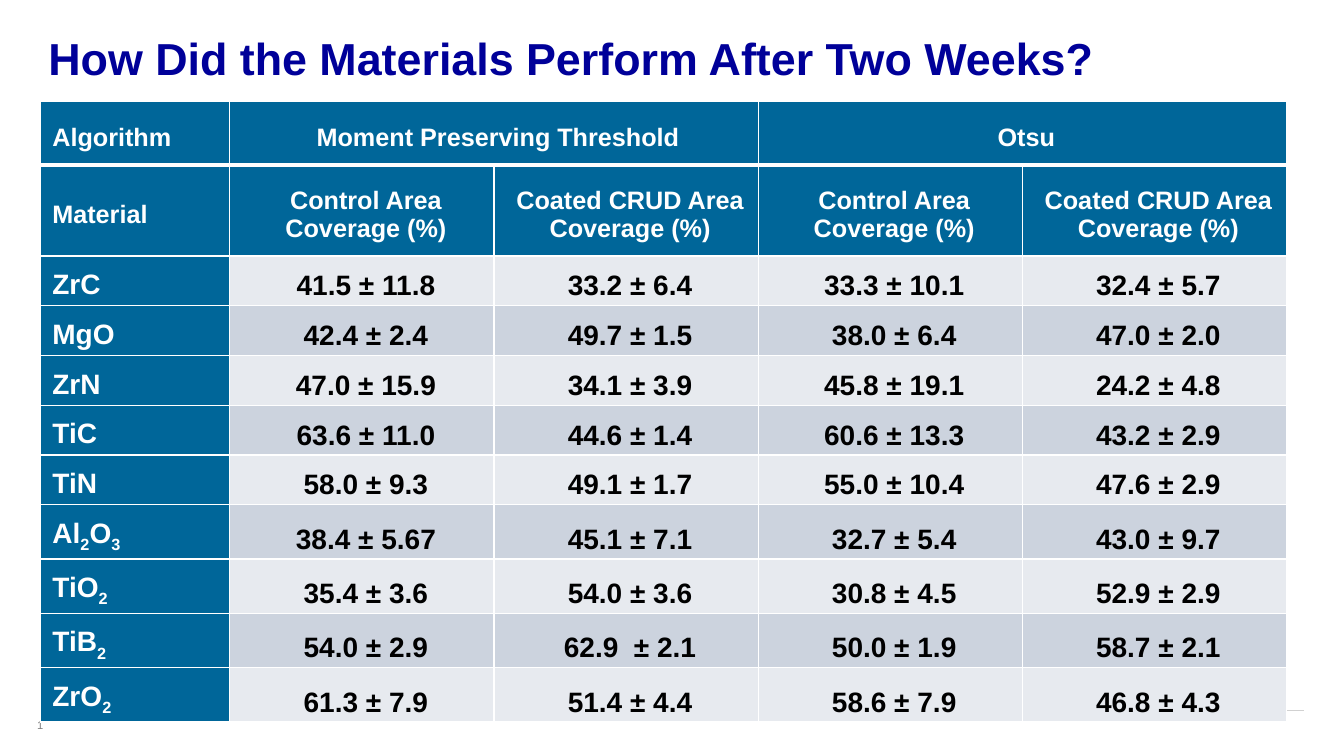
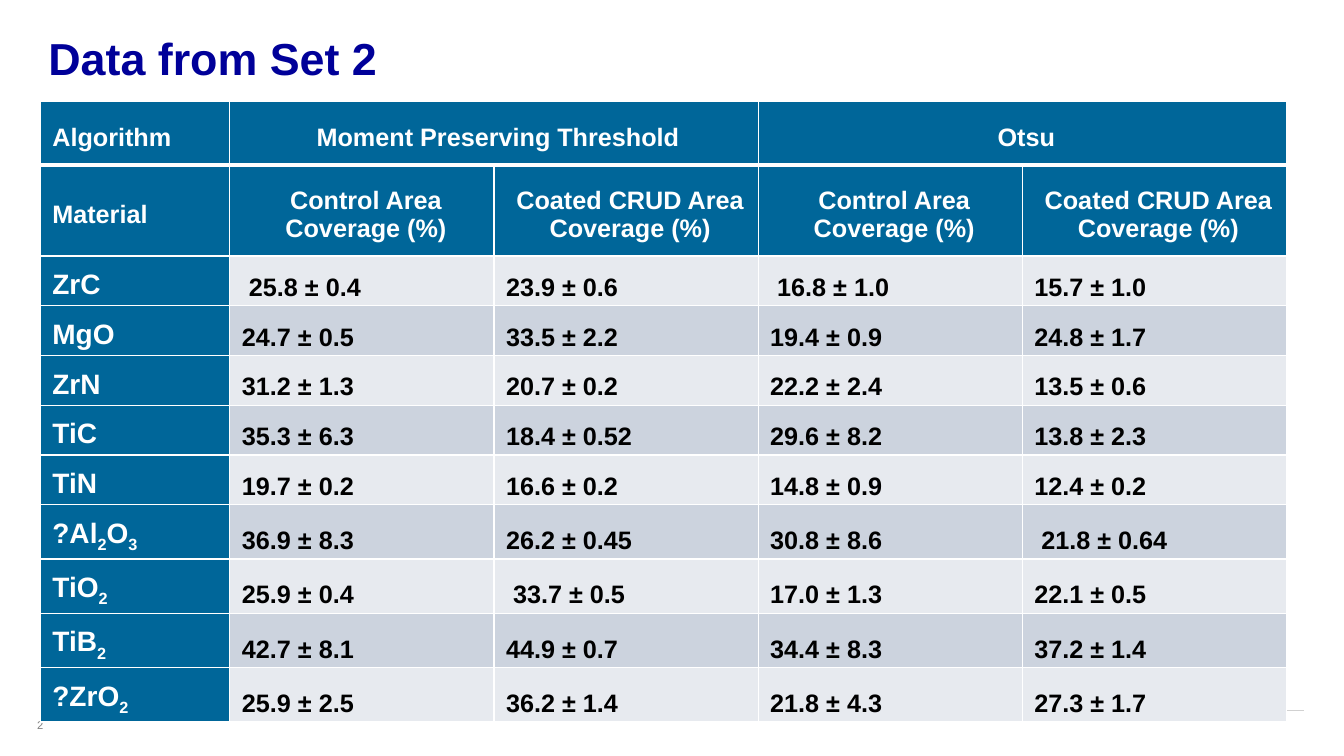
"""Build two slides of coating coverage tables, one for each data set."""
from dataclasses import dataclass
from itertools import groupby

from lxml import etree
from pptx import Presentation
from pptx.dml.color import RGBColor
from pptx.enum.shapes import MSO_CONNECTOR
from pptx.enum.text import MSO_ANCHOR, PP_ALIGN
from pptx.oxml.ns import qn
from pptx.slide import Slide
from pptx.table import Table, _Cell
from pptx.text.text import _Paragraph
from pptx.util import Inches, Pt

LEFT, CENTER = PP_ALIGN.LEFT, PP_ALIGN.CENTER
TOP, MIDDLE, BOTTOM = MSO_ANCHOR.TOP, MSO_ANCHOR.MIDDLE, MSO_ANCHOR.BOTTOM
STRAIGHT = MSO_CONNECTOR.STRAIGHT


@dataclass(frozen=True)
class Theme:
    font: str = "Arial"
    title_color: str = "000099"
    header_fill: str = "006699"
    band_fills: tuple[str, str] = ("E7EAEF", "CCD3DE")
    white: str = "FFFFFF"
    black: str = "000000"
    footer_color: str = "7F7F7F"
    rule_color: str = "D1D1D1"
    title_size: int = 32
    header_size: int = 18
    material_size: int = 20
    footer_size: int = 8
    border_width: float = 1
    header_border_width: float = 3


@dataclass(frozen=True)
class TextStyle:
    size: int
    color: str
    bold: bool = True
    align: PP_ALIGN = LEFT
    anchor: MSO_ANCHOR = MIDDLE


@dataclass(frozen=True)
class Box:
    left: float
    top: float
    width: float
    height: float


@dataclass(frozen=True)
class MaterialRow:
    material: str
    values: tuple[str, str, str, str]


@dataclass(frozen=True)
class CoverageSlide:
    title: str
    value_style: TextStyle
    rows: tuple[MaterialRow, ...]


THEME = Theme()
TITLE_BOX = Box(0.4, 0.2, 12.5, 0.8)
NUMBER_BOX = Box(0.27, 7.08, 0.89, 0.24)
TABLE_BOX = Box(0.4, 1.01, 12.38, 5.94)
RULE_LEFT, RULE_RIGHT, RULE_TOP = 0.4, 12.93, 7.05
COLUMN_WIDTHS = (1.88,) + (2.62,) * 4
HEADER_HEIGHTS = (0.63, 0.9)
BODY_HEIGHT = 0.49
ALGORITHMS = ("Moment Preserving Threshold", "Otsu")
MEASURES = ("Control Area Coverage (%)", "Coated CRUD Area Coverage (%)")

TITLE_STYLE = TextStyle(THEME.title_size, THEME.title_color, anchor=TOP)
NUMBER_STYLE = TextStyle(THEME.footer_size, THEME.footer_color, bold=False, anchor=TOP)
LABEL_STYLE = TextStyle(THEME.header_size, THEME.white)
HEADER_STYLE = TextStyle(THEME.header_size, THEME.white, align=CENTER)
MATERIAL_STYLE = TextStyle(THEME.material_size, THEME.white)

COVERAGE_SLIDES = (
    CoverageSlide(
        "How Did the Materials Perform After Two Weeks?",
        TextStyle(THEME.material_size, THEME.black, align=CENTER, anchor=BOTTOM),
        (
            MaterialRow("ZrC", ("41.5 ± 11.8", "33.2 ± 6.4", "33.3 ± 10.1", "32.4 ± 5.7")),
            MaterialRow("MgO", ("42.4 ± 2.4", "49.7 ± 1.5", "38.0 ± 6.4", "47.0 ± 2.0")),
            MaterialRow("ZrN", ("47.0 ± 15.9", "34.1 ± 3.9", "45.8 ± 19.1", "24.2 ± 4.8")),
            MaterialRow("TiC", ("63.6 ± 11.0", "44.6 ± 1.4", "60.6 ± 13.3", "43.2 ± 2.9")),
            MaterialRow("TiN", ("58.0 ± 9.3", "49.1 ± 1.7", "55.0 ± 10.4", "47.6 ± 2.9")),
            MaterialRow("Al2O3", ("38.4 ± 5.67", "45.1 ± 7.1", "32.7 ± 5.4", "43.0 ± 9.7")),
            MaterialRow("TiO2", ("35.4 ± 3.6", "54.0 ± 3.6", "30.8 ± 4.5", "52.9 ± 2.9")),
            MaterialRow("TiB2", ("54.0 ± 2.9", "62.9  ± 2.1", "50.0 ± 1.9", "58.7 ± 2.1")),
            MaterialRow("ZrO2", ("61.3 ± 7.9", "51.4 ± 4.4", "58.6 ± 7.9", "46.8 ± 4.3")),
        ),
    ),
    CoverageSlide(
        "Data from Set 2",
        TextStyle(THEME.header_size, THEME.black, anchor=BOTTOM),
        (
            MaterialRow("ZrC", (" 25.8 ± 0.4", "23.9 ± 0.6", " 16.8 ± 1.0", "15.7 ± 1.0")),
            MaterialRow("MgO", ("24.7 ± 0.5", "33.5 ± 2.2", "19.4 ± 0.9", "24.8 ± 1.7")),
            MaterialRow("ZrN", ("31.2 ± 1.3", "20.7 ± 0.2", "22.2 ± 2.4", "13.5 ± 0.6")),
            MaterialRow("TiC", ("35.3 ± 6.3", "18.4 ± 0.52", "29.6 ± 8.2", "13.8 ± 2.3")),
            MaterialRow("TiN", ("19.7 ± 0.2", "16.6 ± 0.2", "14.8 ± 0.9", "12.4 ± 0.2")),
            MaterialRow("?Al2O3", ("36.9 ± 8.3", "26.2 ± 0.45", "30.8 ± 8.6", " 21.8 ± 0.64")),
            MaterialRow("TiO2", ("25.9 ± 0.4", " 33.7 ± 0.5", "17.0 ± 1.3", "22.1 ± 0.5")),
            MaterialRow("TiB2", ("42.7 ± 8.1", "44.9 ± 0.7", "34.4 ± 8.3", "37.2 ± 1.4")),
            MaterialRow("?ZrO2", ("25.9 ± 2.5", "36.2 ± 1.4", "21.8 ± 4.3", "27.3 ± 1.7")),
        ),
    ),
)


def format_paragraph(paragraph: _Paragraph, style: TextStyle) -> None:
    paragraph.alignment = style.align
    for run in paragraph.runs:
        run.font.name = THEME.font
        run.font.size = Pt(style.size)
        run.font.bold = style.bold
        run.font.color.rgb = RGBColor.from_string(style.color)


def write_formula(paragraph: _Paragraph, formula: str) -> None:
    for is_subscript, characters in groupby(formula, str.isdigit):
        run = paragraph.add_run()
        run.text = "".join(characters)
        if is_subscript:
            run._r.get_or_add_rPr().set("baseline", "-25000")


def add_text(slide: Slide, text: str, box: Box, style: TextStyle,
             inset_left: float = 0.1, inset_top: float = 0.05) -> None:
    shape = slide.shapes.add_textbox(
        Inches(box.left), Inches(box.top), Inches(box.width), Inches(box.height))
    text_frame = shape.text_frame
    text_frame.word_wrap = True
    text_frame.vertical_anchor = style.anchor
    text_frame.margin_left = Inches(inset_left)
    text_frame.margin_top = Inches(inset_top)
    text_frame.text = text
    format_paragraph(text_frame.paragraphs[0], style)


def add_footer(slide: Slide, number: int) -> None:
    add_text(slide, str(number), NUMBER_BOX, NUMBER_STYLE)
    rule = slide.shapes.add_connector(
        STRAIGHT, Inches(RULE_LEFT), Inches(RULE_TOP), Inches(RULE_RIGHT), Inches(RULE_TOP))
    rule.line.color.rgb = RGBColor.from_string(THEME.rule_color)
    rule.line.width = Pt(0.75)
    etree.SubElement(rule._element.spPr, qn("a:effectLst"))


def set_borders(cell: _Cell, row: int) -> None:
    properties = cell._tc.get_or_add_tcPr()
    heavy_sides = {0: "B", 1: "T"}
    for side in "LRTB":
        heavy = heavy_sides.get(row) == side
        width = THEME.header_border_width if heavy else THEME.border_width
        line = etree.SubElement(properties, qn(f"a:ln{side}"), w=str(Pt(width)))
        fill = etree.SubElement(line, qn("a:solidFill"))
        etree.SubElement(fill, qn("a:srgbClr"), val=THEME.white)


def fill_cell(table: Table, row: int, column: int, text: str, style: TextStyle) -> None:
    cell = table.cell(row, column)
    cell.margin_left = cell.margin_top = Inches(0.12)
    cell.margin_right = cell.margin_bottom = Inches(0.04)
    cell.vertical_anchor = style.anchor
    paragraph = cell.text_frame.paragraphs[0]
    if style is MATERIAL_STYLE:
        write_formula(paragraph, text)
    else:
        paragraph.text = text
    format_paragraph(paragraph, style)


def style_cells(table: Table) -> None:
    header_count = len(HEADER_HEIGHTS)
    for row in range(len(table.rows)):
        for column in range(len(table.columns)):
            cell = table.cell(row, column)
            set_borders(cell, row)
            is_header = row < header_count or column == 0
            color = THEME.header_fill if is_header else THEME.band_fills[(row - header_count) % 2]
            cell.fill.solid()
            cell.fill.fore_color.rgb = RGBColor.from_string(color)


def fill_headers(table: Table) -> None:
    for row, label in enumerate(("Algorithm", "Material")):
        fill_cell(table, row, 0, label, LABEL_STYLE)
    group_size = len(MEASURES)
    for group, algorithm in enumerate(ALGORITHMS):
        first = 1 + group * group_size
        table.cell(0, first).merge(table.cell(0, first + group_size - 1))
        fill_cell(table, 0, first, algorithm, HEADER_STYLE)
        for column, measure in enumerate(MEASURES, first):
            fill_cell(table, 1, column, measure, HEADER_STYLE)


def add_coverage_table(slide: Slide, content: CoverageSlide) -> None:
    heights = HEADER_HEIGHTS + (BODY_HEIGHT,) * len(content.rows)
    table = slide.shapes.add_table(
        len(heights), len(COLUMN_WIDTHS), Inches(TABLE_BOX.left), Inches(TABLE_BOX.top),
        Inches(TABLE_BOX.width), Inches(TABLE_BOX.height)).table
    table.first_row = table.horz_banding = False
    for column, width in zip(table.columns, COLUMN_WIDTHS):
        column.width = Inches(width)
    for row, height in zip(table.rows, heights):
        row.height = Inches(height)
    style_cells(table)
    fill_headers(table)
    for row, entry in enumerate(content.rows, len(HEADER_HEIGHTS)):
        fill_cell(table, row, 0, entry.material, MATERIAL_STYLE)
        for column, value in enumerate(entry.values, 1):
            fill_cell(table, row, column, value, content.value_style)


def main() -> None:
    presentation = Presentation()
    presentation.slide_width = Inches(13.33)
    presentation.slide_height = Inches(7.5)
    blank_layout = presentation.slide_layouts[6]
    for number, content in enumerate(COVERAGE_SLIDES, 1):
        slide = presentation.slides.add_slide(blank_layout)
        add_footer(slide, number)
        add_text(slide, content.title, TITLE_BOX, TITLE_STYLE, inset_left=0.08, inset_top=0.1)
        add_coverage_table(slide, content)
    presentation.save("out.pptx")


if __name__ == "__main__":
    main()
